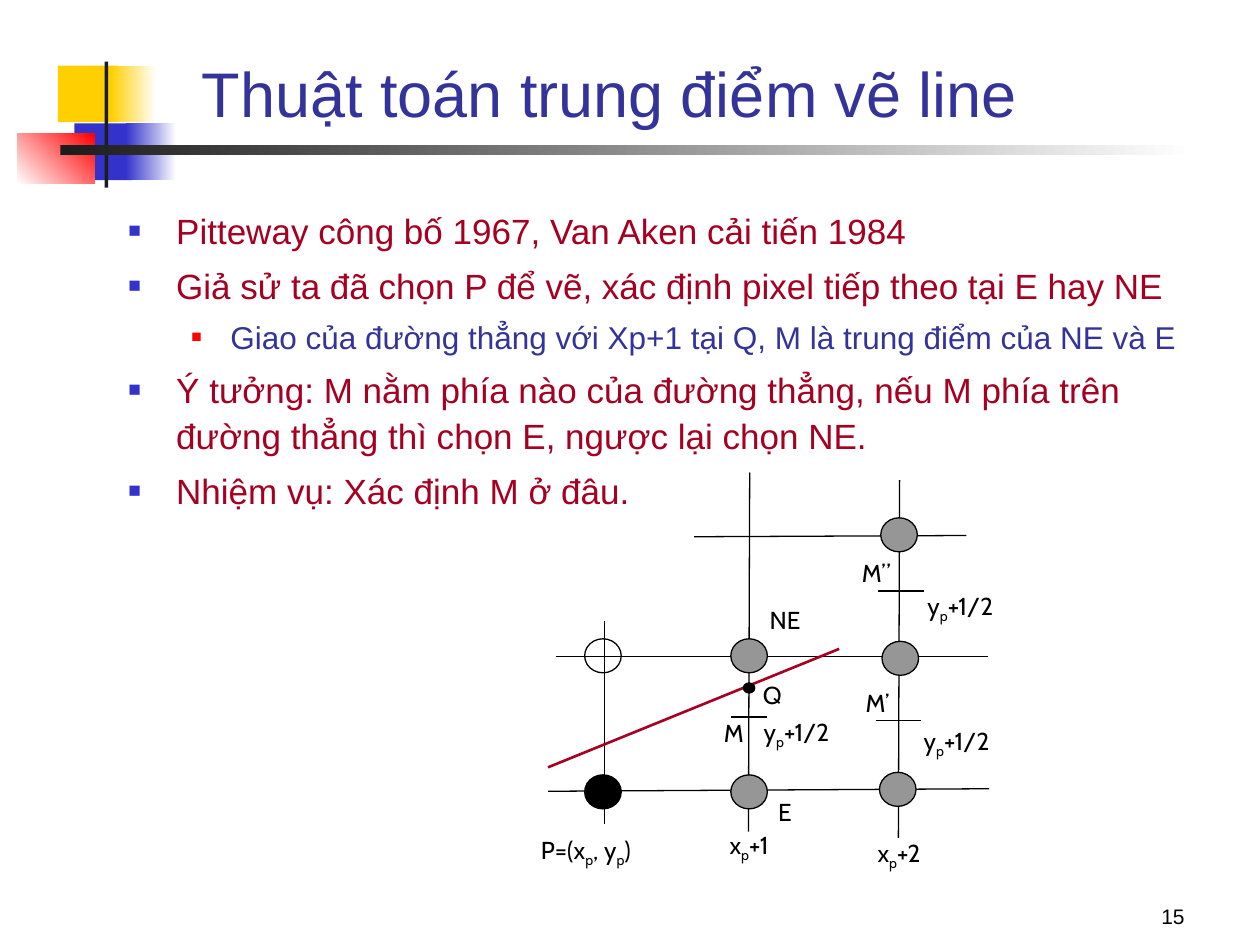
from lxml.etree import SubElement
from pptx import Presentation
from pptx.dml.color import RGBColor
from pptx.enum.shapes import MSO_CONNECTOR, MSO_SHAPE
from pptx.enum.text import MSO_ANCHOR, MSO_AUTO_SIZE, PP_ALIGN
from pptx.oxml.ns import qn
from pptx.util import Inches, Pt

YELLOW = RGBColor(0xFF, 0xCF, 0x01)
BLUE = RGBColor(0x33, 0x33, 0xCC)
NAVY = RGBColor(0x33, 0x33, 0x99)
RED = RGBColor(0xFF, 0x00, 0x00)
CRIMSON = RGBColor(0xA5, 0x00, 0x21)
CHARCOAL = RGBColor(0x1C, 0x1C, 0x1C)
GRAY = RGBColor(0x96, 0x96, 0x96)
BLACK = RGBColor(0x00, 0x00, 0x00)
WHITE = RGBColor(0xFF, 0xFF, 0xFF)

TITLE_FORMAT = {"name": "Arial", "size": Pt(36)}
NUMBER_FORMAT = {"name": "Arial", "size": Pt(12)}
LABEL_FORMAT = {"name": "Cabin", "size": Pt(14)}
LEVELS = [
    {"font": {"name": "Arial", "size": Pt(20)}, "color": CRIMSON, "bullet": BLUE,
     "scale": 60, "margin": 0.38, "hanging": 0.38, "before": 5},
    {"font": {"name": "Arial", "size": Pt(18)}, "color": NAVY, "bullet": RED,
     "scale": 55, "margin": 0.81, "hanging": 0.31, "before": 4.5},
]

BULLETS = [
    (0, "Pitteway công bố 1967, Van Aken cải tiến 1984"),
    (0, "Giả sử ta đã chọn P để vẽ, xác định pixel tiếp theo tại E hay NE"),
    (1, "Giao của đường thẳng với Xp+1 tại Q, M là trung điểm của NE và E"),
    (0, "Ý tưởng: M nằm phía nào của đường thẳng, nếu M phía trên "
        "đường thẳng thì chọn E, ngược lại chọn NE."),
    (0, "Nhiệm vụ: Xác định M ở đâu."),
]
DECORATIONS = [
    (0.46, 0.52, 0.48, 0.45, (YELLOW,), 0),
    (0.88, 0.52, 0.36, 0.45, (YELLOW, WHITE), 0),
    (0.59, 0.98, 0.46, 0.45, (BLUE,), 0),
    (1, 0.98, 0.4, 0.45, (BLUE, WHITE), 0),
    (0.14, 1.06, 0.61, 0.4, (WHITE, RED), 45),
    (0.83, 0.49, 0.03, 1, (CHARCOAL,), 0),
    (0.48, 1.15, 9, 0.08, (CHARCOAL, WHITE), 0),
]
GRID_LINES = [
    (5.51, 4.26, 7.67, 4.25), (7.14, 3.81, 7.13, 6.65),
    (4.35, 6.28, 7.85, 6.26), (4.41, 5.21, 7.84, 5.21),
    (4.8, 4.93, 4.8, 6.54), (5.95, 3.75, 5.94, 6.6),
]
MIDPOINT_TICKS = [
    (5.8, 5.69, 6.09, 5.69), (6.95, 5.72, 7.31, 5.72), (6.97, 4.69, 7.33, 4.69),
]
PIXELS = [
    (4.64, 6.15, BLACK), (5.8, 5.07, GRAY), (5.8, 6.15, GRAY), (4.64, 5.07, None),
    (7, 5.09, GRAY), (6.98, 6.13, GRAY), (6.99, 4.11, GRAY),
]
LABELS = [
    (4, 6.58, 1.3, "P=(x|p|, y|p|)"),
    (5.94, 6.28, 0.58, "E"),
    (5.94, 4.75, 0.58, "NE"),
    (5.61, 5.65, 0.43, "M"),
    (5.84, 5.35, 0.58, "Q"),
    (5.51, 6.54, 0.87, "x|p|+1"),
    (6.7, 6.6, 0.87, "x|p|+2"),
    (5.65, 5.64, 1.3, " y|p|+1/2"),
    (6.92, 5.71, 1.3, " y|p|+1/2"),
    (6.95, 4.64, 1.3, " y|p|+1/2"),
    (6.68, 5.41, 0.57, "M’"),
    (6.67, 4.38, 0.57, "M”"),
]


class SlideBuilder:
    def __init__(self, slide):
        self.slide = slide
        self.line_width = Pt(0.75)

    def apply_format(self, font, values, color):
        for name, value in values.items():
            setattr(font, name, value)
        font.color.rgb = color

    def title(self, text, left, top, width, height):
        shape = self.slide.shapes.title
        geometry = {"left": left, "top": top, "width": width, "height": height}
        for name, value in geometry.items():
            setattr(shape, name, Inches(value))
        frame = shape.text_frame
        frame.auto_size = MSO_AUTO_SIZE.NONE
        frame.vertical_anchor = MSO_ANCHOR.BOTTOM
        paragraph = frame.paragraphs[0]
        paragraph.alignment = PP_ALIGN.LEFT
        run = paragraph.add_run()
        run.text = text
        self.apply_format(run.font, TITLE_FORMAT, NAVY)

    def shape(self, kind, left, top, width, height, colors, angle=0, outline=None):
        shape = self.slide.shapes.add_shape(
            kind, Inches(left), Inches(top), Inches(width), Inches(height))
        shape.shadow.inherit = False
        if len(colors) == 2:
            shape.fill.gradient()
            shape.fill.gradient_angle = angle
            for position, (stop, color) in enumerate(zip(shape.fill.gradient_stops, colors)):
                stop.position = position
                stop.color.rgb = color
        elif colors[0] is None:
            shape.fill.background()
        else:
            shape.fill.solid()
            shape.fill.fore_color.rgb = colors[0]
        if outline is None:
            shape.line.fill.background()
        else:
            shape.line.color.rgb = outline
            shape.line.width = self.line_width

    def line(self, start_x, start_y, end_x, end_y, color=BLACK, width=None):
        connector = self.slide.shapes.add_connector(
            MSO_CONNECTOR.STRAIGHT,
            Inches(start_x), Inches(start_y), Inches(end_x), Inches(end_y))
        connector.line.color.rgb = color
        connector.line.width = width or self.line_width
        SubElement(connector._element.spPr, qn("a:effectLst"))

    def text_frame(self, left, top, width, height):
        shape = self.slide.shapes.add_textbox(
            Inches(left), Inches(top), Inches(width), Inches(height))
        shape.text_frame.word_wrap = True
        return shape.text_frame

    def label(self, left, top, width, height, text, values=LABEL_FORMAT,
              alignment=PP_ALIGN.CENTER, anchor=MSO_ANCHOR.TOP):
        frame = self.text_frame(left, top, width, height)
        frame.vertical_anchor = anchor
        paragraph = frame.paragraphs[0]
        paragraph.alignment = alignment
        for index, piece in enumerate(text.split("|")):
            run = paragraph.add_run()
            run.text = piece
            self.apply_format(run.font, values, BLACK)
            if index % 2:
                run._r.get_or_add_rPr().set("baseline", "-25000")

    def bullets(self, left, top, width, height, items):
        frame = self.text_frame(left, top, width, height)
        for index, (level, text) in enumerate(items):
            style = LEVELS[level]
            paragraph = frame.add_paragraph() if index else frame.paragraphs[0]
            paragraph.level = level
            paragraph.line_spacing = 1.1
            paragraph.space_before = Pt(style["before"])
            run = paragraph.add_run()
            run.text = text
            self.apply_format(run.font, style["font"], style["color"])
            properties = paragraph._p.get_or_add_pPr()
            properties.set("marL", str(Inches(style["margin"])))
            properties.set("indent", str(-Inches(style["hanging"])))
            bullet_color = SubElement(properties, qn("a:buClr"))
            SubElement(bullet_color, qn("a:srgbClr"), val=str(style["bullet"]))
            SubElement(properties, qn("a:buSzPct"), val=str(style["scale"] * 1000))
            SubElement(properties, qn("a:buFont"), typeface="Arial")
            SubElement(properties, qn("a:buChar"), char="■")


def main():
    presentation = Presentation()
    presentation.slide_width = Inches(10)
    presentation.slide_height = Inches(7.5)
    builder = SlideBuilder(presentation.slides.add_slide(presentation.slide_layouts[5]))

    for left, top, width, height, colors, angle in DECORATIONS:
        builder.shape(MSO_SHAPE.RECTANGLE, left, top, width, height, colors, angle)
    builder.title("Thuật toán trung điểm vẽ line", 1.5, 0.25, 8.36, 0.83)
    builder.bullets(0.92, 1.58, 8.88, 3, BULLETS)
    builder.label(8.08, 6.92, 1.42, 0.5, "15", NUMBER_FORMAT,
                  PP_ALIGN.RIGHT, MSO_ANCHOR.BOTTOM)

    for ends in GRID_LINES + MIDPOINT_TICKS:
        builder.line(*ends)
    builder.line(4.35, 6.09, 6.66, 5.15, CRIMSON, Pt(1.5))
    for left, top, color in PIXELS:
        builder.shape(MSO_SHAPE.OVAL, left, top, 0.29, 0.27, (color,), outline=BLACK)
    builder.shape(MSO_SHAPE.OVAL, 5.9, 5.42, 0.09, 0.08, (BLACK,), outline=BLACK)
    for left, top, width, text in LABELS:
        builder.label(left, top, width, 0.4, text)

    presentation.save("out.pptx")


if __name__ == "__main__":
    main()
